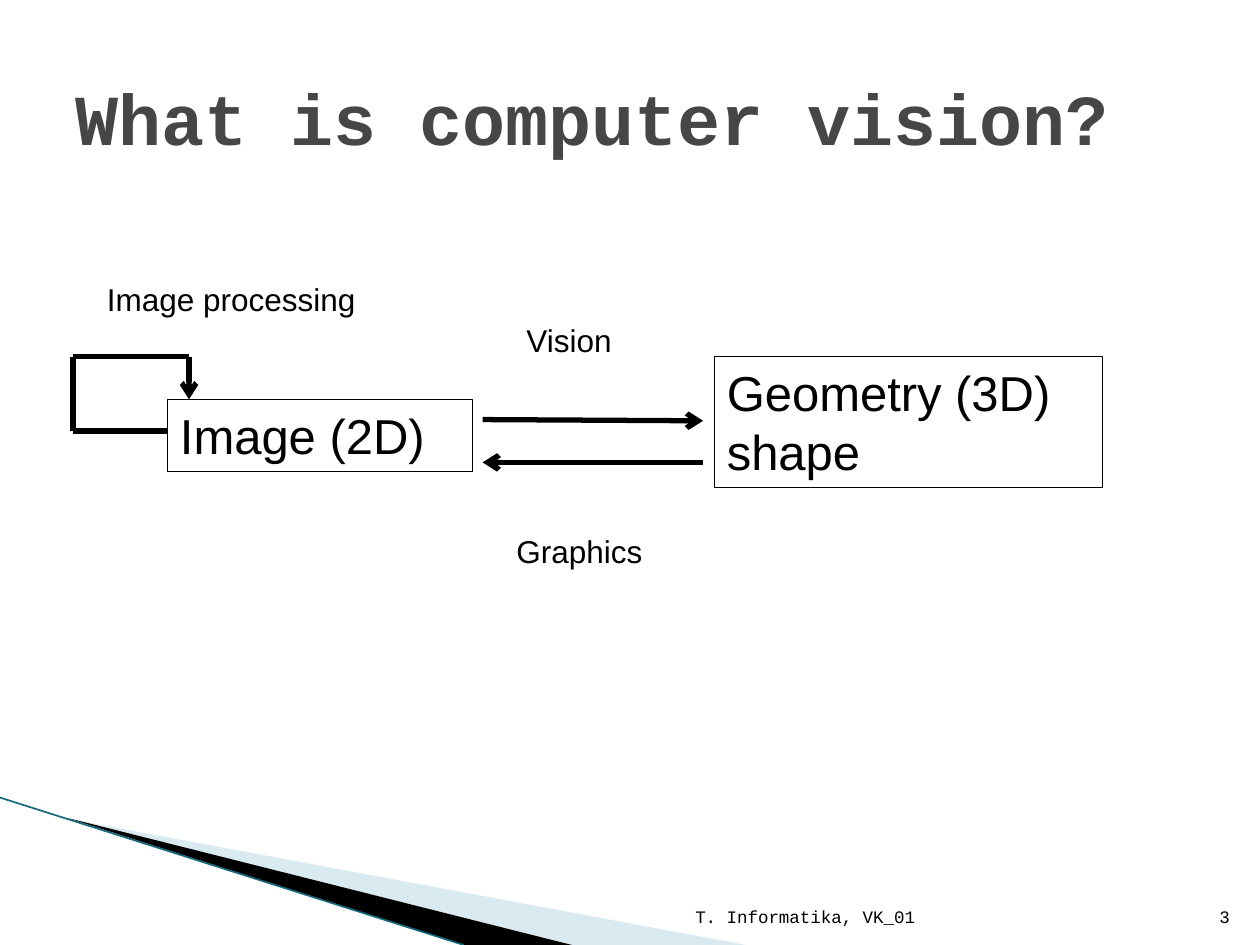
from dataclasses import dataclass

from lxml import etree
from pptx import Presentation
from pptx.dml.color import RGBColor
from pptx.enum.shapes import MSO_CONNECTOR, MSO_SHAPE
from pptx.enum.text import MSO_ANCHOR, PP_ALIGN
from pptx.oxml.ns import qn
from pptx.util import Inches, Pt

STRAIGHT = MSO_CONNECTOR.STRAIGHT
RECTANGLE = MSO_SHAPE.RECTANGLE
TOP, MIDDLE, BOTTOM = MSO_ANCHOR.TOP, MSO_ANCHOR.MIDDLE, MSO_ANCHOR.BOTTOM
LEFT, RIGHT = PP_ALIGN.LEFT, PP_ALIGN.RIGHT


@dataclass(frozen=True)
class Theme:
    """Colours, fonts and sizes of the slide."""
    ink: RGBColor = RGBColor(0x00, 0x00, 0x00)
    title: RGBColor = RGBColor(0x46, 0x46, 0x46)
    pale_wedge: RGBColor = RGBColor(0xA0, 0xCB, 0xDC)
    wedge_edge: RGBColor = RGBColor(0x16, 0x69, 0x7C)
    sans: str = "Arial"
    mono: str = "Courier New"
    title_size: float = 41
    box_size: float = 28
    label_size: float = 18
    footer_size: float = 10
    arrow_width: float = 3
    thin_width: float = 0.75


THEME = Theme()


def write_text(shape, lines, size, font=THEME.sans, color=THEME.ink,
               bold=False, align=LEFT, anchor=TOP):
    """Write one paragraph per line into a shape."""
    frame = shape.text_frame
    frame.word_wrap = True
    frame.vertical_anchor = anchor
    for index, line in enumerate(lines):
        paragraph = frame.add_paragraph() if index else frame.paragraphs[0]
        paragraph.alignment = align
        run = paragraph.add_run()
        run.text = line
        run.font.size = Pt(size)
        run.font.name = font
        run.font.bold = bold
        run.font.color.rgb = color


def add_text(slide, bounds, text, size, **style):
    """Add a text box with a single line."""
    shape = slide.shapes.add_textbox(*map(Inches, bounds))
    write_text(shape, [text], size, **style)


def add_box(slide, bounds, lines):
    """Add an outlined, unfilled box."""
    shape = slide.shapes.add_shape(RECTANGLE, *map(Inches, bounds))
    shape.shadow.inherit = False
    shape.fill.background()
    shape.line.color.rgb = THEME.ink
    shape.line.width = Pt(THEME.thin_width)
    write_text(shape, lines, THEME.box_size)


def add_line(slide, start, end, arrow=False, color=THEME.ink, width=THEME.arrow_width):
    """Add a straight line, with an arrowhead at its end if asked."""
    connector = slide.shapes.add_connector(STRAIGHT, *map(Inches, (*start, *end)))
    connector.line.color.rgb = color
    connector.line.width = Pt(width)
    if arrow:
        etree.SubElement(connector.line._get_or_add_ln(), qn("a:tailEnd"), type="arrow")
    etree.SubElement(connector._element.spPr, qn("a:effectLst"))


def add_wedge(slide, points, color, opacity=100):
    """Add a filled polygon without outline."""
    start, *others = [(Inches(x), Inches(y)) for x, y in points]
    builder = slide.shapes.build_freeform(*start)
    builder.add_line_segments(others, close=True)
    shape = builder.convert_to_shape()
    shape.shadow.inherit = False
    shape.fill.solid()
    shape.fill.fore_color.rgb = color
    shape.line.fill.background()
    if opacity < 100:
        color_element = shape._element.spPr.find(qn("a:solidFill"))[0]
        etree.SubElement(color_element, qn("a:alpha"), val=str(opacity * 1000))


def add_decoration(slide):
    """Draw the wedges in the lower left corner."""
    add_wedge(slide, [(0.55, 6.5), (5.92, 7.5), (4.54, 7.5)], THEME.pale_wedge, 40)
    add_wedge(slide, [(0.53, 6.49), (4.54, 7.5), (3.68, 7.5)], THEME.ink)
    add_line(slide, (0, 6.33), (3.68, 7.5), color=THEME.wedge_edge, width=0.95)


def add_diagram(slide):
    """Draw the boxes, their labels and the arrows between them."""
    add_box(slide, (1.33, 3.17, 2.42, 0.57), ["Image (2D)"])
    add_box(slide, (5.67, 2.83, 3.08, 1.04), ["Geometry (3D)", "shape"])
    add_line(slide, (3.83, 3.33), (5.58, 3.34), arrow=True)
    add_line(slide, (5.58, 3.67), (3.83, 3.67), arrow=True)
    for text, left, top, width in (("Vision", 4.08, 2.5, 1.17),
                                   ("Graphics", 4, 4.17, 1.58),
                                   ("Image processing", 0.75, 2.17, 2.67)):
        add_text(slide, (left, top, width, 0.5), text, THEME.label_size)
    loop = [(1.33, 3.42), (0.58, 3.42), (0.58, 2.83), (1.5, 2.83), (1.5, 3.17)]
    for start, end in zip(loop, loop[1:]):
        add_line(slide, start, end, arrow=end == loop[-1])


def add_footer(slide):
    """Add the footer text and the slide number."""
    for text, left, width in (("T. Informatika, VK_01", 4.79, 2.57), ("3", 9.46, 0.4)):
        add_text(slide, (left, 7.01, width, 0.4), text, THEME.footer_size,
                 font=THEME.mono, align=RIGHT, anchor=BOTTOM)


def main():
    """Build and save the slide."""
    presentation = Presentation()
    presentation.slide_width, presentation.slide_height = Inches(10), Inches(7.5)
    slide = presentation.slides.add_slide(presentation.slide_layouts[6])
    add_decoration(slide)
    add_text(slide, (0.5, 0.3, 9, 1.25), "What is computer vision?", THEME.title_size,
             font=THEME.mono, color=THEME.title, bold=True, anchor=MIDDLE)
    add_diagram(slide)
    add_footer(slide)
    presentation.save("out.pptx")


if __name__ == "__main__":
    main()
